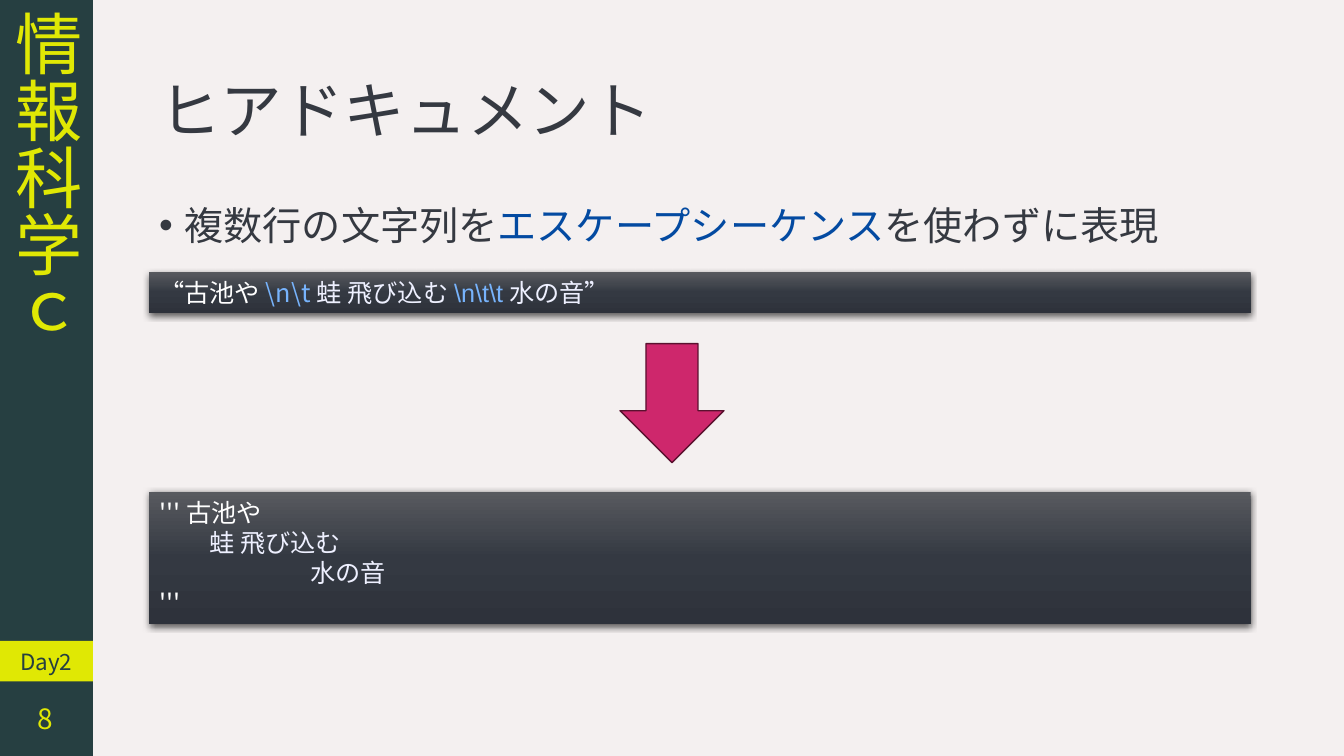
from dataclasses import dataclass

from lxml import etree
from pptx import Presentation
from pptx.dml.color import RGBColor
from pptx.enum.shapes import MSO_SHAPE
from pptx.enum.text import MSO_ANCHOR, MSO_AUTO_SIZE, PP_ALIGN
from pptx.oxml.ns import qn
from pptx.util import Cm, Pt

RECTANGLE = MSO_SHAPE.RECTANGLE
DOWN_ARROW = MSO_SHAPE.DOWN_ARROW
TOP, MIDDLE = MSO_ANCHOR.TOP, MSO_ANCHOR.MIDDLE
LEFT, CENTER, RIGHT = PP_ALIGN.LEFT, PP_ALIGN.CENTER, PP_ALIGN.RIGHT
GROW = MSO_AUTO_SIZE.SHAPE_TO_FIT_TEXT


@dataclass(frozen=True)
class Theme:
    background: str = "F4F0F0"
    sidebar: str = "263F41"
    accent: str = "E0E804"
    text: str = "353941"
    keyword: str = "034AA1"
    code: str = "FFFFFF"
    code_soft: str = "EEF0FF"
    escape: str = "77B3FC"
    code_gradient: tuple = ((0, "585A5F"), (50, "343942"), (100, "2E323B"))
    shadow: str = "000000"
    arrow: str = "CE276C"
    arrow_line: str = "5A112F"
    font: str = "Noto Sans CJK JP"
    latin_font: str = "Arial"
    course_size: int = 48
    title_size: int = 44
    body_size: int = 28
    page_size: int = 20
    code_size: int = 18
    day_size: int = 16


THEME = Theme()


def rgb(color):
    return RGBColor.from_string(color)


def add_run(paragraph, text, size, color, font=THEME.font):
    run = paragraph.add_run()
    run.text = text
    run.font.size = Pt(size)
    run.font.name = font
    run.font.color.rgb = rgb(color)
    east_asian = etree.SubElement(run.font._element, qn("a:ea"))
    east_asian.set("typeface", THEME.font)


def prepare_text(shape, anchor, alignment=LEFT):
    frame = shape.text_frame
    frame.word_wrap = True
    frame.vertical_anchor = anchor
    paragraph = frame.paragraphs[0]
    paragraph.alignment = alignment
    return paragraph


def add_block(slide, kind, box, color):
    shape = slide.shapes.add_shape(kind, *map(Cm, box))
    shape.shadow.inherit = False
    shape.fill.solid()
    shape.fill.fore_color.rgb = rgb(color)
    shape.line.fill.background()
    return shape


def add_color(parent, color):
    element = etree.SubElement(parent, qn("a:srgbClr"))
    element.set("val", color)
    return element


def style_code_panel(shape):
    shape.fill.gradient()
    shape.fill.gradient_angle = 270
    properties = shape._element.spPr
    stops = properties.find(qn("a:gradFill")).find(qn("a:gsLst"))
    for stop in list(stops):
        stops.remove(stop)
    for position, color in THEME.code_gradient:
        stop = etree.SubElement(stops, qn("a:gs"))
        stop.set("pos", str(position * 1000))
        add_color(stop, color)
    shadow = etree.SubElement(properties.find(qn("a:effectLst")), qn("a:outerShdw"))
    for name, value in (("blurRad", Pt(4.5)), ("dist", Pt(1.5)), ("dir", 5400000)):
        shadow.set(name, str(int(value)))
    shadow.set("rotWithShape", "0")
    etree.SubElement(add_color(shadow, THEME.shadow), qn("a:alpha")).set("val", "63000")


def add_sidebar(slide, box):
    left, top, width, height = box
    bar = add_block(slide, RECTANGLE, box, THEME.sidebar)
    paragraph = prepare_text(bar, MIDDLE, CENTER)
    bar.text_frame._txBody.bodyPr.set("vert", "eaVert")
    add_run(paragraph, "情報科学ｃ", THEME.course_size, THEME.accent)

    page_height, day_height = 1.88, 1.02
    page_top = top + height - page_height
    day_box = (left, page_top - day_height, width, day_height)
    day = add_block(slide, RECTANGLE, day_box, THEME.accent)
    paragraph = prepare_text(day, MIDDLE, CENTER)
    add_run(paragraph, "Day2", THEME.day_size, THEME.sidebar)

    page = slide.shapes.add_textbox(*map(Cm, (left, page_top, width, page_height)))
    paragraph = prepare_text(page, MIDDLE, RIGHT)
    page.text_frame.margin_right = Cm(1)
    add_run(paragraph, "8", THEME.page_size, THEME.accent)


def add_title(slide, box, text):
    title = slide.shapes.add_textbox(*map(Cm, box))
    paragraph = prepare_text(title, MIDDLE)
    paragraph.line_spacing = 0.9
    add_run(paragraph, text, THEME.title_size, THEME.text)


def add_body(slide, box, runs):
    body = slide.shapes.add_textbox(*map(Cm, box))
    paragraph = prepare_text(body, TOP)
    paragraph.line_spacing = 0.9
    properties = paragraph._p.get_or_add_pPr()
    properties.set("marL", str(Cm(0.64)))
    properties.set("indent", str(-Cm(0.64)))
    etree.SubElement(properties, qn("a:buFont")).set("typeface", THEME.latin_font)
    etree.SubElement(properties, qn("a:buChar")).set("char", "•")
    for text, color in runs:
        add_run(paragraph, text, THEME.body_size, color)


def add_code(slide, box, lines):
    panel = add_block(slide, RECTANGLE, box, THEME.code)
    style_code_panel(panel)
    first = prepare_text(panel, TOP)
    frame = panel.text_frame
    frame.auto_size = GROW
    for index, (level, runs) in enumerate(lines):
        paragraph = frame.add_paragraph() if index else first
        paragraph.alignment = LEFT
        if level:
            paragraph.level = level
            paragraph._p.get_or_add_pPr().set("marL", str(Cm(1.27 * level)))
        for text, color, font in runs:
            add_run(paragraph, text, THEME.code_size, color, font)


def add_arrow(slide, box):
    arrow = add_block(slide, DOWN_ARROW, box, THEME.arrow)
    arrow.line.color.rgb = rgb(THEME.arrow_line)
    arrow.line.width = Pt(1)


def build_slide(slide, box):
    left, top, width, height = box
    slide.background.fill.solid()
    slide.background.fill.fore_color.rgb = rgb(THEME.background)
    add_sidebar(slide, (left, top, 2.34, height))

    content_left, content_width = left + 3.76, 27.76
    add_title(slide, (content_left, top + 1.02, content_width, 3.68), "ヒアドキュメント")
    add_body(slide, (content_left, top + 5.08, content_width, 12.09), [
        ("複数行の文字列を", THEME.text),
        ("エスケープシーケンス", THEME.keyword),
        ("を使わずに表現", THEME.text),
    ])

    plain = (THEME.code, THEME.font)
    soft = (THEME.code_soft, THEME.latin_font)
    add_code(slide, (content_left, top + 6.86, content_width, 1.02), [
        (0, [
            ("“古池や", *plain),
            ("\\n\\t", THEME.escape, THEME.font),
            ("蛙 飛び込む", *soft),
            ("\\n\\t\\t", THEME.escape, THEME.latin_font),
            ("水の音”", *soft),
        ]),
    ])
    add_code(slide, (content_left, top + 12.4, content_width, 3.33), [
        (0, [("'''古池や", *plain)]),
        (0, [("\t蛙 飛び込む", *soft)]),
        (2, [("\t水の音", *soft)]),
        (0, [("'''", *plain)]),
    ])
    arrow_width = 2.62
    add_arrow(slide, (left + (width - arrow_width) / 2, top + 8.66, arrow_width, 3))


def main():
    presentation = Presentation()
    width, height = 33.87, 19.05
    presentation.slide_width = Cm(width)
    presentation.slide_height = Cm(height)
    slide = presentation.slides.add_slide(presentation.slide_layouts[6])
    build_slide(slide, (0, 0, width, height))
    presentation.save("out.pptx")


if __name__ == "__main__":
    main()
